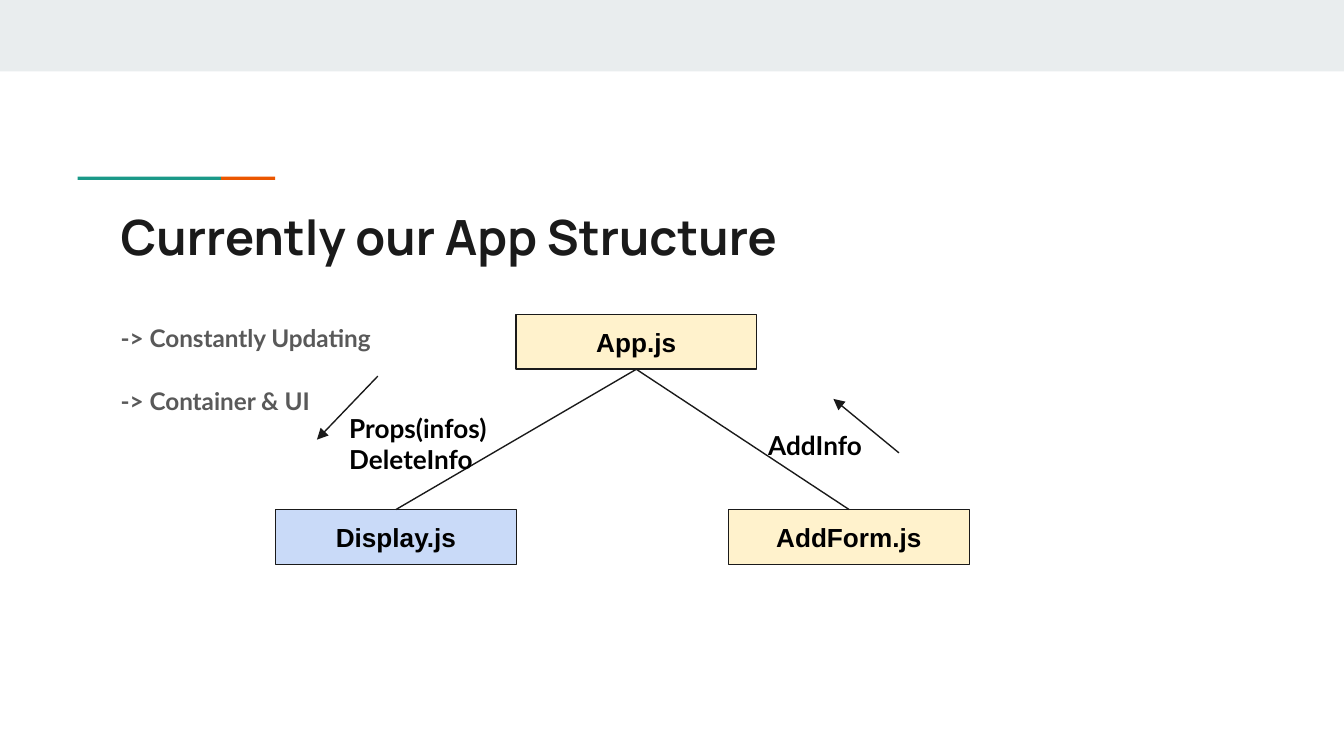
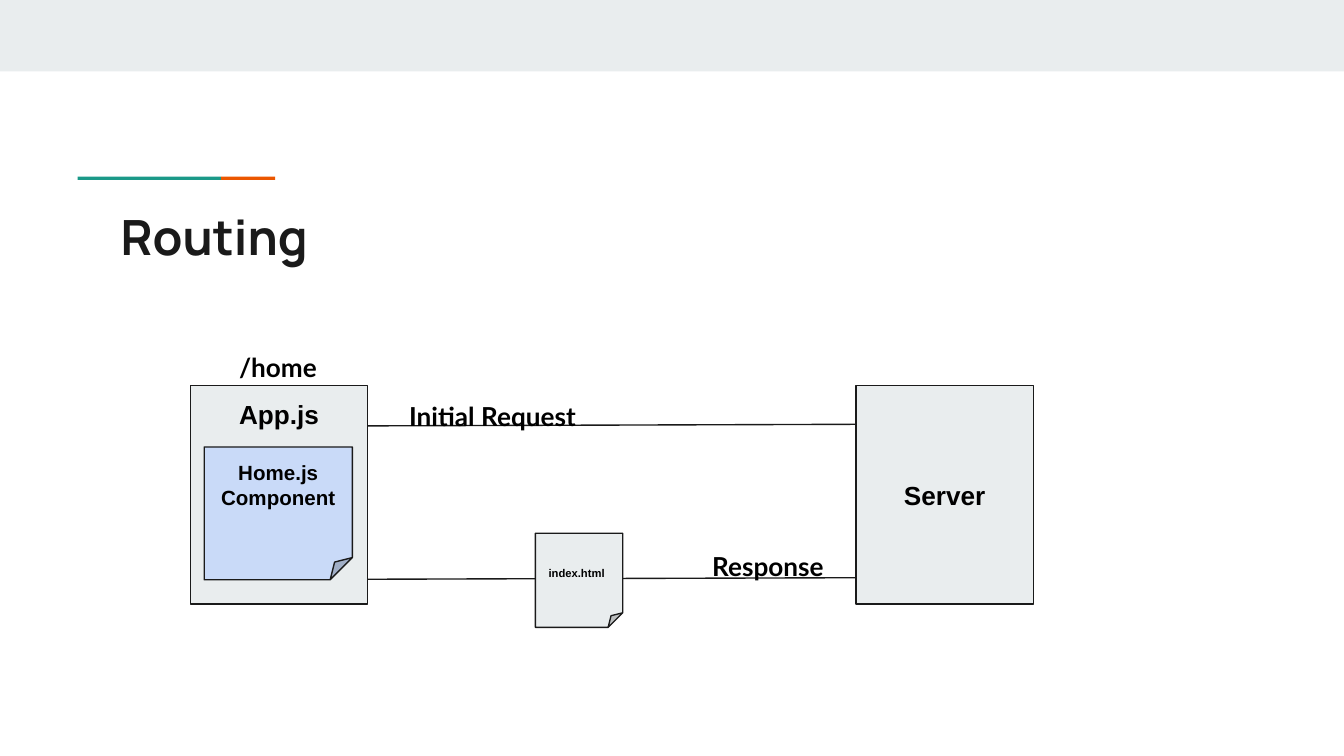
from dataclasses import dataclass

from lxml.etree import SubElement
from pptx import Presentation
from pptx.dml.color import RGBColor
from pptx.enum.shapes import MSO_CONNECTOR, MSO_SHAPE
from pptx.enum.text import MSO_ANCHOR, MSO_AUTO_SIZE, PP_ALIGN
from pptx.oxml.ns import qn
from pptx.shapes.autoshape import Shape
from pptx.shapes.connector import Connector
from pptx.slide import Slide
from pptx.text.text import TextFrame
from pptx.util import Cm, Pt

INK = RGBColor(0x1A, 0x1A, 0x1A)
BLACK = RGBColor(0x00, 0x00, 0x00)
GREY = RGBColor(0x59, 0x59, 0x59)
MIST = RGBColor(0xE9, 0xED, 0xEE)
TEAL = RGBColor(0x1A, 0x99, 0x88)
ORANGE = RGBColor(0xEB, 0x56, 0x00)
CREAM = RGBColor(0xFF, 0xF2, 0xCC)
BLUE = RGBColor(0xC9, 0xDA, 0xF8)

LINE_WIDTH = Pt(0.75)
INSET = Cm(0.25)
LEFT, CENTER = PP_ALIGN.LEFT, PP_ALIGN.CENTER
TOP, MIDDLE = MSO_ANCHOR.TOP, MSO_ANCHOR.MIDDLE
LAYOUT_TITLE_AND_BODY, LAYOUT_TITLE_ONLY = 1, 5
SITE_TOP, SITE_BOTTOM = 0, 2


@dataclass(frozen=True)
class Area:
    """Left, top, width and height in centimetres."""
    left: float
    top: float
    width: float
    height: float

    def lengths(self) -> tuple[Cm, Cm, Cm, Cm]:
        return Cm(self.left), Cm(self.top), Cm(self.width), Cm(self.height)


@dataclass(frozen=True)
class Box:
    text: str
    area: Area
    fill: RGBColor
    size: float = 14
    align: PP_ALIGN = CENTER
    anchor: MSO_ANCHOR = MIDDLE
    preset: MSO_SHAPE = MSO_SHAPE.RECTANGLE


@dataclass(frozen=True)
class Label:
    text: str
    area: Area
    align: PP_ALIGN = LEFT


@dataclass(frozen=True)
class Line:
    """Start and end points in centimetres."""
    x1: float
    y1: float
    x2: float
    y2: float
    arrow: bool = False


DECOR = [
    (Area(0, 0, 25.4, 1.35), MIST),
    (Area(1.47, 3.34, 2.71, 0.06), TEAL),
    (Area(4.18, 3.34, 1.02, 0.06), ORANGE),
]
TITLE_AREA = Area(2.03, 3.66, 21.36, 1.5)
BODY_AREA = Area(2.03, 5.77, 21.36, 6.27)

NOTES_ON_STRUCTURE = ["-> Constantly Updating", "-> Container & UI"]
PARENT = Box("App.js", Area(9.75, 5.94, 4.55, 1.04), CREAM)
CHILDREN = [
    Box("AddForm.js", Area(13.77, 9.63, 4.55, 1.04), CREAM),
    Box("Display.js", Area(5.21, 9.63, 4.55, 1.04), BLUE),
]
DATA_LABELS = [
    Label("Props(infos)\vDeleteInfo", Area(6.35, 7.54, 3.4, 1.52)),
    Label("AddInfo", Area(14.27, 7.87, 2.72, 0.86)),
]
DATA_ARROWS = [
    Line(16.99, 8.56, 15.75, 7.54, arrow=True),
    Line(7.14, 7.11, 5.99, 8.31, arrow=True),
]

ENDPOINTS = [
    Box("App.js", Area(3.6, 7.29, 3.35, 4.13), MIST, anchor=TOP),
    Box("Server", Area(16.18, 7.29, 3.35, 4.13), MIST),
]
EXCHANGES = [
    Line(6.95, 8.05, 16.18, 8.02),
    Line(6.95, 10.95, 16.18, 10.92),
]
ROUTE_LABELS = [
    Label("/home", Area(3.86, 6.4, 2.79, 0.56), CENTER),
    Label("Initial Request", Area(7.42, 7.32, 3.78, 0.74), CENTER),
    Label("Response", Area(13.21, 10.16, 2.79, 0.56)),
]
FILES = [
    Box("index.html", Area(10.12, 10.08, 1.65, 1.78), MIST, size=6,
        align=LEFT, preset=MSO_SHAPE.FOLDED_CORNER),
    Box("Home.js\vComponent", Area(3.86, 8.45, 2.8, 2.51), BLUE, size=11,
        anchor=TOP, preset=MSO_SHAPE.FOLDED_CORNER),
]


def set_text(tf: TextFrame, text: str, font: str, size: float,
             color: RGBColor, align: PP_ALIGN = LEFT,
             anchor: MSO_ANCHOR = TOP) -> None:
    tf.text = text
    tf.word_wrap = True
    tf.auto_size = MSO_AUTO_SIZE.NONE
    tf.vertical_anchor = anchor
    tf.margin_left = tf.margin_right = INSET
    tf.margin_top = tf.margin_bottom = INSET
    for p in tf.paragraphs:
        p.alignment = align
        for r in p.runs:
            r.font.name = font
            r.font.size = Pt(size)
            r.font.bold = True
            r.font.color.rgb = color


def place(shape: Shape, area: Area) -> None:
    shape.left, shape.top, shape.width, shape.height = area.lengths()


def add_filled(s: Slide, preset: MSO_SHAPE, area: Area, fill: RGBColor) -> Shape:
    sp = s.shapes.add_shape(preset, *area.lengths())
    sp.shadow.inherit = False
    sp.fill.solid()
    sp.fill.fore_color.rgb = fill
    sp.line.fill.background()
    return sp


def add_box(s: Slide, box: Box) -> Shape:
    sp = add_filled(s, box.preset, box.area, box.fill)
    sp.line.color.rgb = INK
    sp.line.width = LINE_WIDTH
    set_text(sp.text_frame, box.text, "Arial", box.size, BLACK,
             box.align, box.anchor)
    return sp


def add_label(s: Slide, label: Label) -> None:
    tb = s.shapes.add_textbox(*label.area.lengths())
    set_text(tb.text_frame, label.text, "Lato", 14, BLACK, label.align)


def add_line(s: Slide, line: Line) -> Connector:
    cx = s.shapes.add_connector(MSO_CONNECTOR.STRAIGHT, Cm(line.x1),
                                Cm(line.y1), Cm(line.x2), Cm(line.y2))
    cx.line.color.rgb = INK
    cx.line.width = LINE_WIDTH
    sp_pr = cx._element.spPr
    if line.arrow:
        SubElement(sp_pr.find(qn("a:ln")), qn("a:tailEnd"), type="triangle")
    SubElement(sp_pr, qn("a:effectLst"))
    return cx


def join(s: Slide, parent: Shape, child: Shape) -> None:
    """Link the foot of the parent to the head of the child."""
    cx = add_line(s, Line(0, 0, 1, 1))
    cx.begin_connect(parent, SITE_BOTTOM)
    cx.end_connect(child, SITE_TOP)


def add_slide(prs: Presentation, layout: int, title: str) -> Slide:
    s = prs.slides.add_slide(prs.slide_layouts[layout])
    for area, color in DECOR:
        add_filled(s, MSO_SHAPE.RECTANGLE, area, color)
    place(s.shapes.title, TITLE_AREA)
    set_text(s.shapes.title.text_frame, title, "Manrope", 26, INK)
    return s


def fill_body(s: Slide, lines: list[str]) -> None:
    body = s.placeholders[1]
    place(body, BODY_AREA)
    set_text(body.text_frame, "\n".join(lines), "Lato", 13, GREY)
    for i, p in enumerate(body.text_frame.paragraphs):
        p.line_spacing = 1.15
        p.space_before = Pt(16 if i else 0)
        p_pr = p._p.get_or_add_pPr()
        p_pr.set("marL", "0")
        p_pr.set("indent", "0")
        SubElement(p_pr, qn("a:buNone"))


def build_structure(prs: Presentation) -> None:
    s = add_slide(prs, LAYOUT_TITLE_AND_BODY, "Currently our App Structure")
    fill_body(s, NOTES_ON_STRUCTURE)
    parent = add_box(s, PARENT)
    for child in CHILDREN:
        join(s, parent, add_box(s, child))
    for label in DATA_LABELS:
        add_label(s, label)
    for arrow in DATA_ARROWS:
        add_line(s, arrow)


def build_routing(prs: Presentation) -> None:
    s = add_slide(prs, LAYOUT_TITLE_ONLY, "Routing")
    for box in ENDPOINTS:
        add_box(s, box)
    for line in EXCHANGES:
        add_line(s, line)
    for label in ROUTE_LABELS:
        add_label(s, label)
    for file_box in FILES:
        add_box(s, file_box)


def main() -> None:
    prs = Presentation()
    prs.slide_width, prs.slide_height = Cm(25.4), Cm(14.29)
    build_structure(prs)
    build_routing(prs)
    prs.save("out.pptx")


if __name__ == "__main__":
    main()
